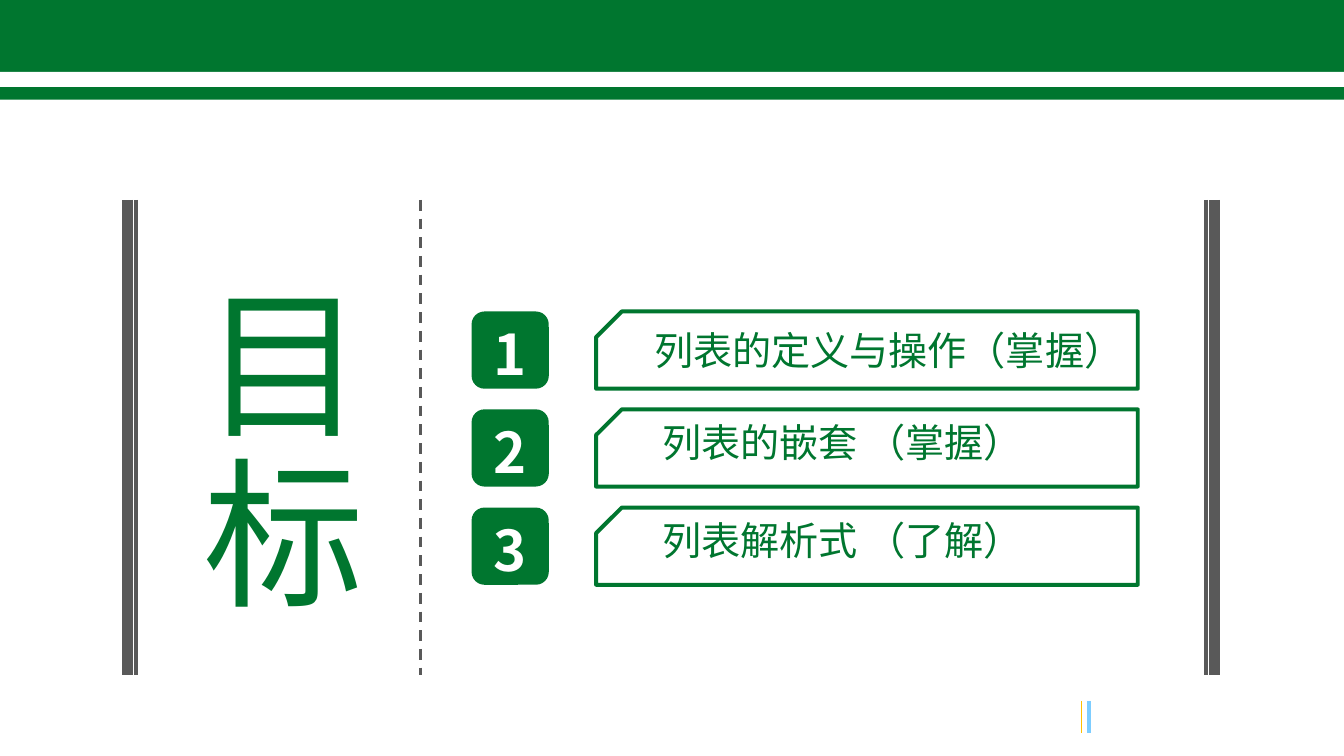
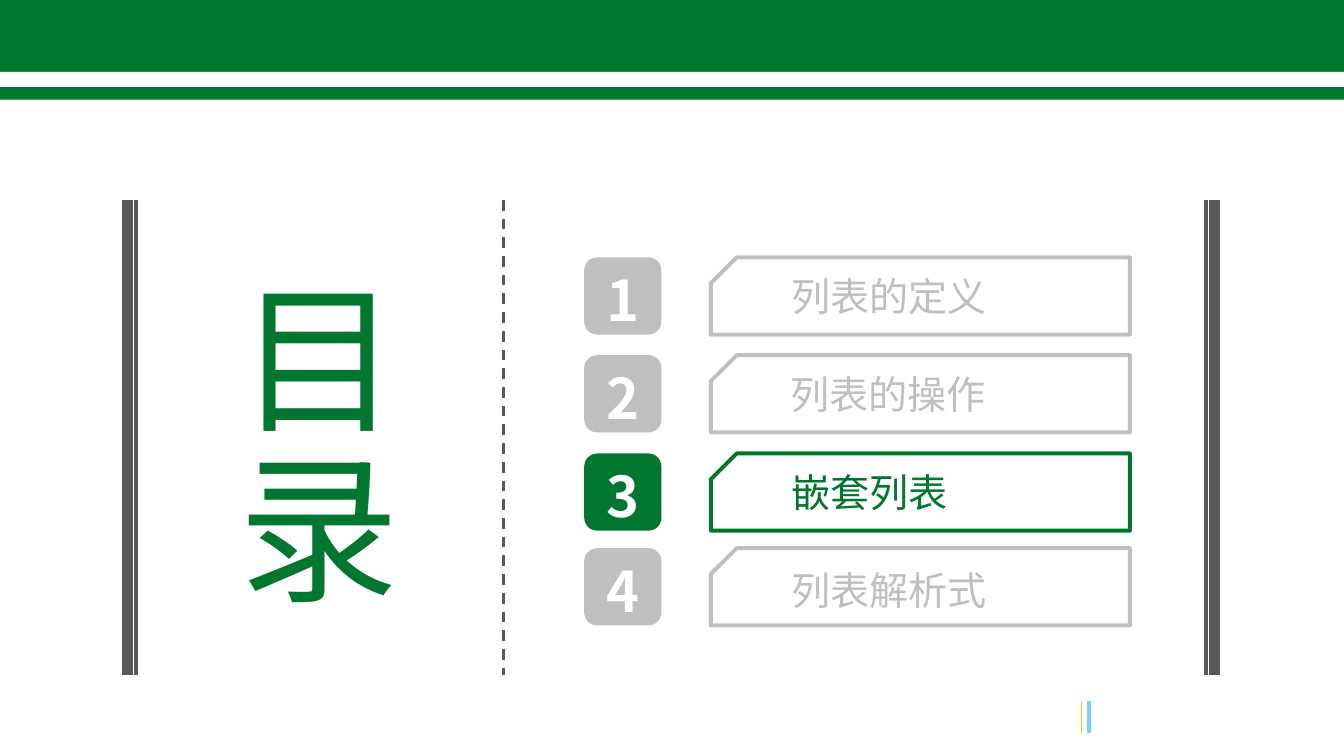
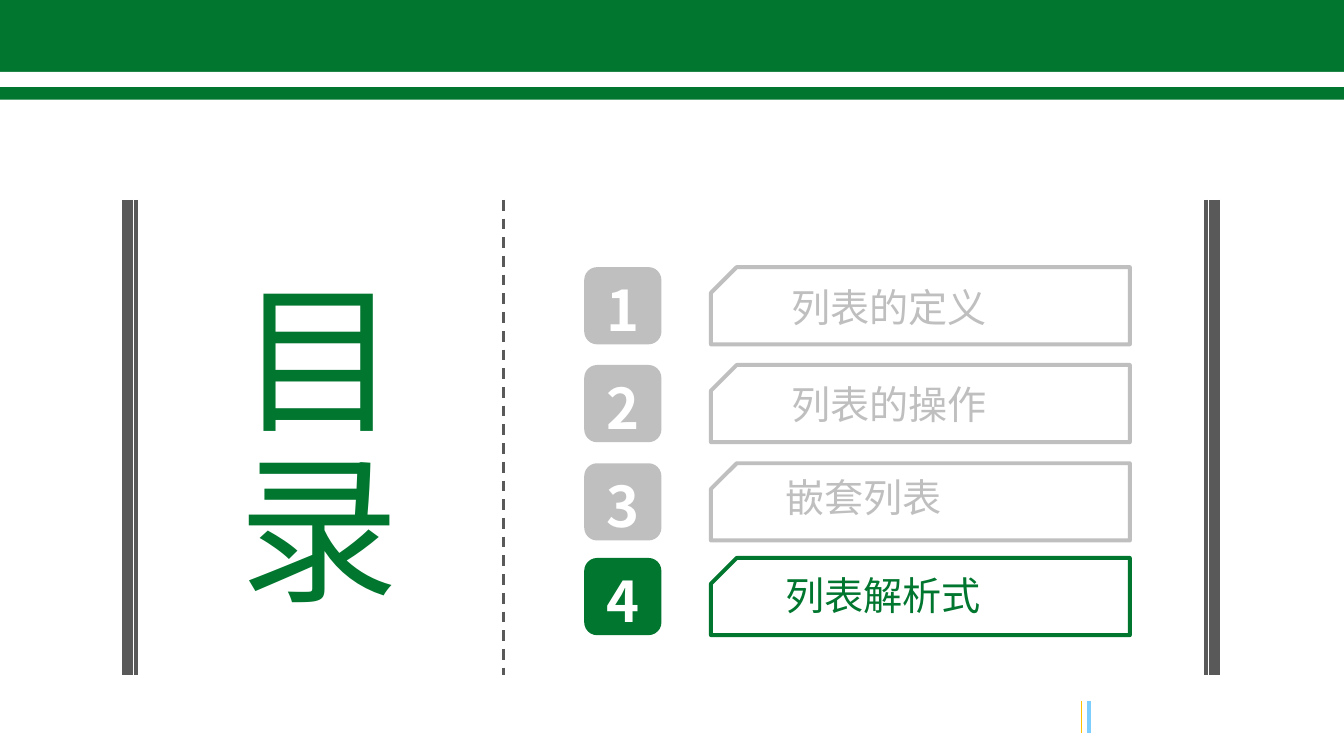
from lxml import etree
from pptx import Presentation
from pptx.dml.color import RGBColor
from pptx.enum.dml import MSO_LINE
from pptx.enum.shapes import MSO_CONNECTOR, MSO_SHAPE
from pptx.enum.text import MSO_ANCHOR, MSO_AUTO_SIZE, PP_ALIGN
from pptx.oxml.ns import qn
from pptx.util import Pt

RECT, ROUND, SNIP = MSO_SHAPE.RECTANGLE, MSO_SHAPE.ROUNDED_RECTANGLE, MSO_SHAPE.SNIP_1_RECTANGLE
STRAIGHT, DASH = MSO_CONNECTOR.STRAIGHT, MSO_LINE.DASH
TOP, MIDDLE = MSO_ANCHOR.TOP, MSO_ANCHOR.MIDDLE
LEFT, CENTER = PP_ALIGN.LEFT, PP_ALIGN.CENTER
GROW = MSO_AUTO_SIZE.SHAPE_TO_FIT_TEXT

COLORS = {"green": "00762F", "gray": "BFBFBF", "bar": "595959",
          "white": "FFFFFF", "blue": "7DCDFF", "gold": "FFC000"}
FONT = "Noto Sans CJK SC"
WIDTH, HEIGHT = 755.28, 424.8
BAR_TOP, BAR_HEIGHT = 112.3, 267.1
ROW_TOPS = (0, 55, 110.2, 163.4)
ROW_HEIGHT = 43.4
TITLE_FONT = {"size": Pt(90.5), "bold": False}
BADGE_FONT = {"size": Pt(31.5), "bold": True}
LABEL_FONT = {"size": Pt(22), "bold": False}
TITLE_FRAME = {"vertical_anchor": TOP, "word_wrap": True, "auto_size": GROW}
BADGE_FRAME = {"vertical_anchor": MIDDLE, "word_wrap": False, "margin_left": 0,
               "margin_right": 0, "margin_top": Pt(3.6), "margin_bottom": 0}
LABEL_FRAME = {"vertical_anchor": TOP, "word_wrap": True}

SLIDES = [
    {"title": "目标", "title_box": (94.3, 155.5, 123.8, 211), "divider": 236.2,
     "rows_at": (265, 175), "box_dx": 70, "box_width": 304.4, "active": (1, 2, 3),
     "outlined": True,
     "rows": [("列表的定义与操作（掌握）", 25.6, 5),
              ("列表的嵌套 （掌握）", 30.2, 1.4),
              ("列表解析式 （了解）", 30.2, 1.4)]},
    {"title": "目录", "title_box": (113.8, 152.6, 123.8, 211), "divider": 283,
     "rows_at": (328.3, 144.6), "box_dx": 71.3, "box_width": 235.4, "active": (3,),
     "outlined": False,
     "rows": [("列表的定义", 38.2, 5), ("列表的操作", 37.4, 5),
              ("嵌套列表", 38.2, 5), ("列表解析式", 38.2, 6.5)]},
    {"title": "目录", "title_box": (113.8, 152.6, 123.8, 211), "divider": 283,
     "rows_at": (328.3, 150.1), "box_dx": 71.3, "box_width": 235.4, "active": (4,),
     "outlined": False,
     "rows": [("列表的定义", 38.2, 5.4), ("列表的操作", 38.2, 5),
              ("嵌套列表", 34.6, 2.2), ("列表解析式", 34.6, 4.3)]},
]


def rgb(name):
    """Return the named colour."""
    return RGBColor.from_string(COLORS[name])


def apply(target, values):
    """Set each attribute in values on target."""
    for name, value in values.items():
        setattr(target, name, value)


def write(sp, text, color, font, frame, align=LEFT):
    """Write one formatted paragraph into a shape and return its run."""
    tf = sp.text_frame
    apply(tf, frame)
    p = tf.paragraphs[0]
    p.alignment = align
    r = p.add_run()
    r.text = text
    r.font.color.rgb = rgb(color)
    apply(r.font, {"name": FONT, **font})
    etree.SubElement(r.font._element, qn("a:ea"), typeface=FONT)
    return r


def add_shape(s, kind, box, fill=None, line=None):
    """Add a preset shape with an optional fill and outline."""
    sp = s.shapes.add_shape(kind, *map(Pt, box))
    sp.shadow.inherit = False
    if fill:
        sp.fill.solid()
        sp.fill.fore_color.rgb = rgb(fill)
    else:
        sp.fill.background()
    if line:
        sp.line.color.rgb = rgb(line)
        sp.line.width = Pt(2.25)
    else:
        sp.line.fill.background()
    return sp


def add_rule(s, x, top, height, color, width):
    """Add a vertical line."""
    sp = s.shapes.add_connector(STRAIGHT, Pt(x), Pt(top), Pt(x), Pt(top + height))
    sp.line.color.rgb = rgb(color)
    sp.line.width = Pt(width)
    etree.SubElement(sp.element.spPr, qn("a:effectLst"))
    return sp


def add_frame(s, layout):
    """Draw the band, side bars and accents and move them to the layout."""
    add_rule(s, 612, 393.8, 18, "blue", 2.25)
    add_rule(s, 607.5, 393.8, 18, "gold", 0.5)
    add_shape(s, RECT, (0, 0, WIDTH, 56), "green")
    add_shape(s, RECT, (0, 40.4, WIDTH, 8.5), "white")
    for outer, inner in ((71.5, 76.5), (682.4, 677.6)):
        add_rule(s, outer, BAR_TOP, BAR_HEIGHT, "bar", 6)
        add_rule(s, inner, BAR_TOP, BAR_HEIGHT, "bar", 2.25)
    parts = [sp for sp in s.shapes if not sp.is_placeholder]
    for number, sp in enumerate(parts, 20):
        sp.element.find(".//" + qn("p:cNvPr")).set("id", str(number))
        layout.shapes.element.append(sp.element)


def add_title(s, text, box):
    """Set the vertical title in its placeholder."""
    sp = s.shapes.title
    apply(sp, dict(zip(("left", "top", "width", "height"), map(Pt, box))))
    r = write(sp, text, "green", TITLE_FONT, TITLE_FRAME)
    r.font._element.set("spc", "470")
    sp.text_frame._txBody.bodyPr.set("vert", "eaVert")


def outline_text(r, color):
    """Give a run a thin outline."""
    ln = etree.Element(qn("a:ln"), w=str(Pt(0.75)))
    fill = etree.SubElement(ln, qn("a:solidFill"))
    etree.SubElement(fill, qn("a:srgbClr"), val=COLORS[color])
    r.font._element.insert(0, ln)


def add_row(s, number, row, left, top, data):
    """Add a numbered badge, its snipped box and its label."""
    text, dx, dy = row
    color = "green" if number in data["active"] else "gray"
    badge = add_shape(s, ROUND, (left, top, ROW_HEIGHT, ROW_HEIGHT), color)
    write(badge, str(number), "white", BADGE_FONT, BADGE_FRAME, CENTER)
    box_left = left + data["box_dx"]
    box = add_shape(s, SNIP, (box_left, top, data["box_width"], ROW_HEIGHT), line=color)
    box.adjustments[0] = 0.333
    box.element.spPr.find(qn("a:xfrm")).set("flipH", "1")
    label = s.shapes.add_textbox(Pt(box_left + dx), Pt(top + dy), Pt(300), Pt(33.8))
    r = write(label, text, color, LABEL_FONT, LABEL_FRAME)
    if data["outlined"]:
        outline_text(r, color)


def add_agenda(s, data):
    """Build one agenda slide."""
    add_title(s, data["title"], data["title_box"])
    divider = add_rule(s, data["divider"], BAR_TOP, BAR_HEIGHT, "bar", 1.5)
    divider.line.dash_style = DASH
    left, top = data["rows_at"]
    for number, (row, offset) in enumerate(zip(data["rows"], ROW_TOPS), 1):
        add_row(s, number, row, left, top + offset, data)


def main():
    """Build and save the presentation."""
    prs = Presentation()
    prs.slide_width, prs.slide_height = Pt(WIDTH), Pt(HEIGHT)
    layout = prs.slide_layouts[5]
    for i, data in enumerate(SLIDES):
        s = prs.slides.add_slide(layout)
        if i == 0:
            add_frame(s, layout)
        add_agenda(s, data)
    prs.save("out.pptx")


main()
